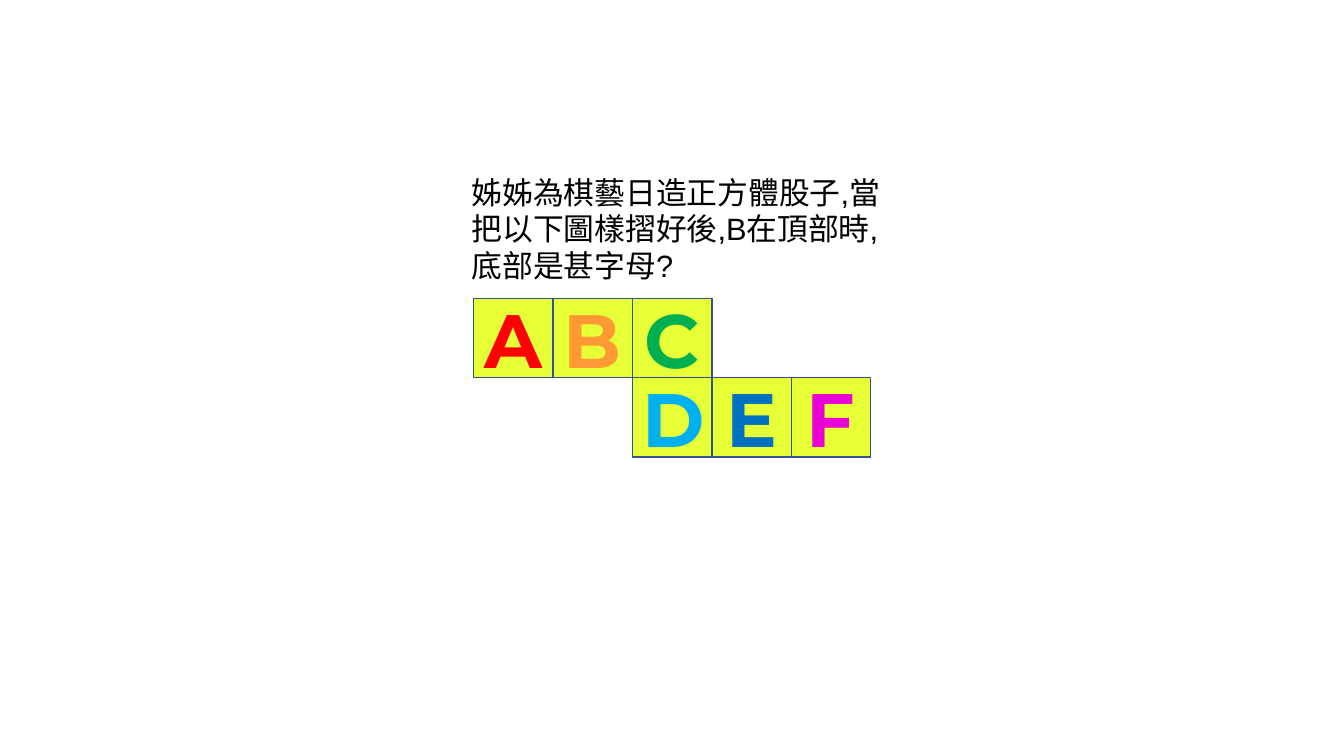
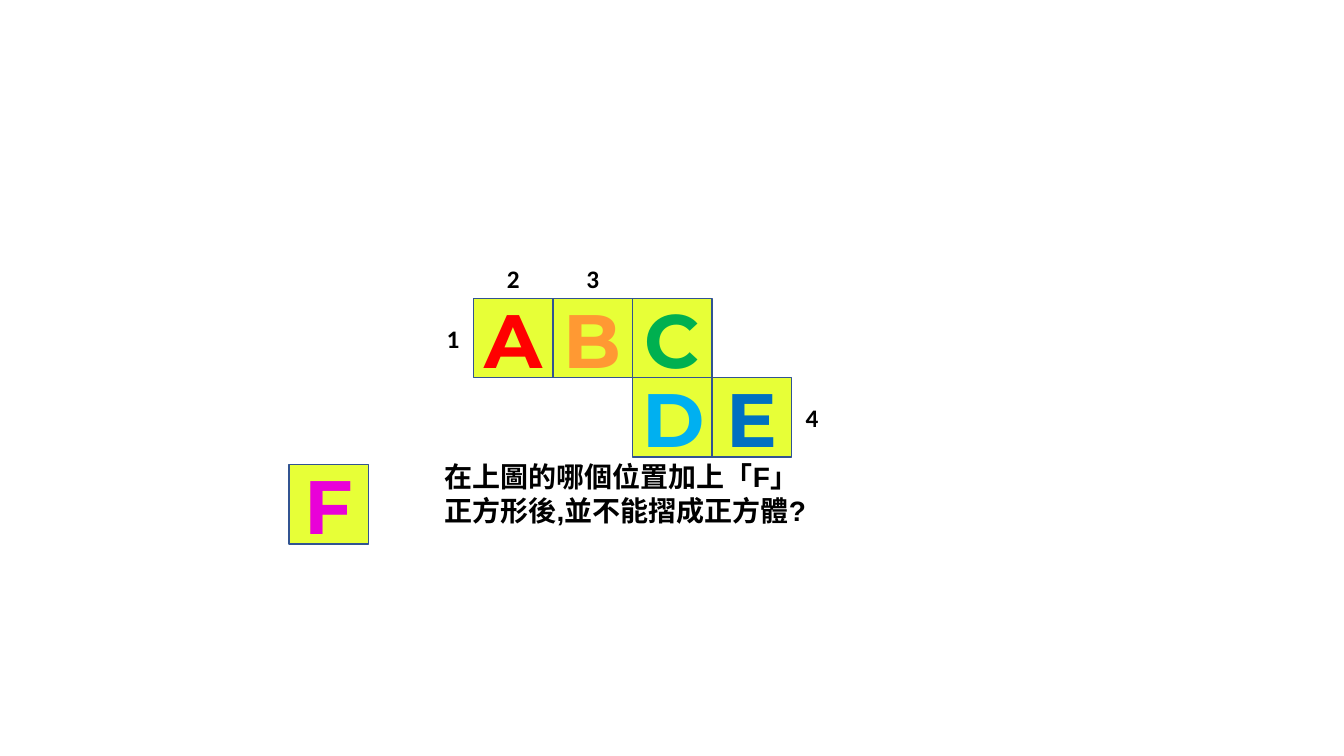
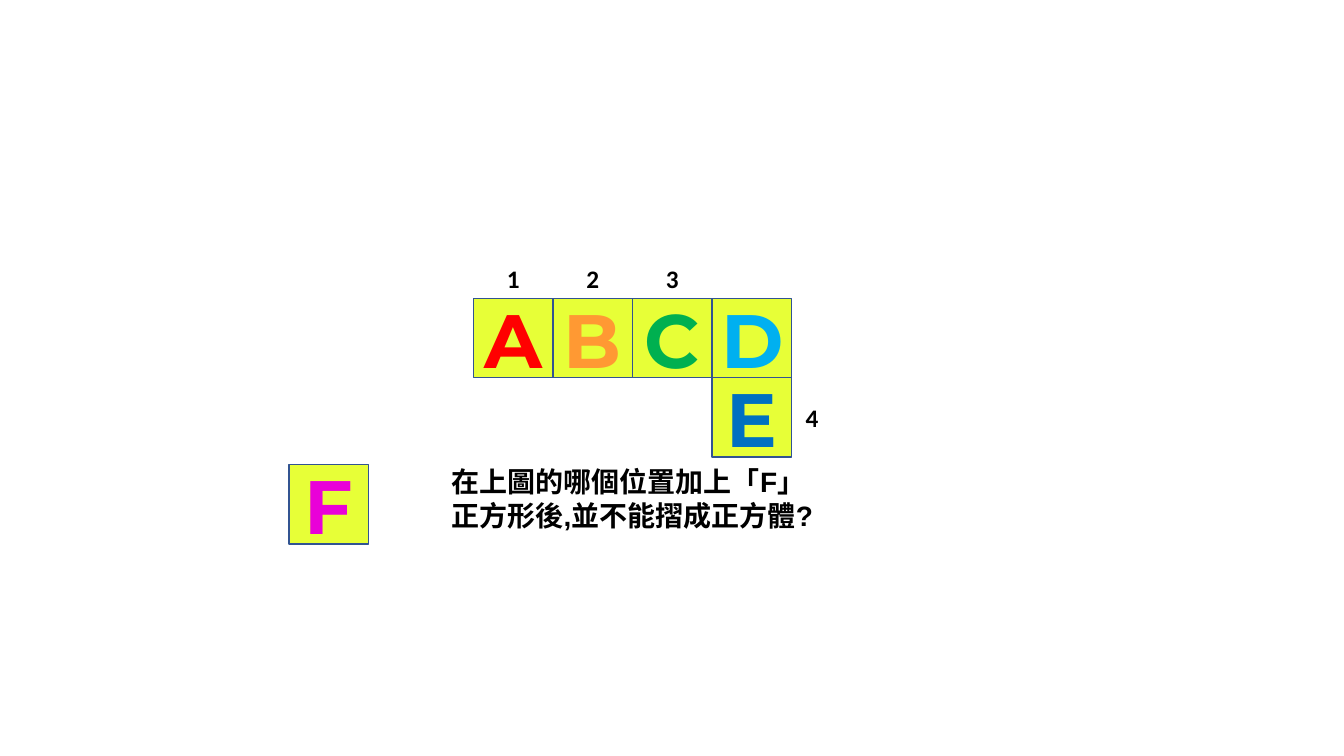
import pptx
import pptx.dml.color
import pptx.enum.shapes
import pptx.enum.text
import pptx.oxml.ns
import pptx.util
from dataclasses import dataclass, field
from lxml import etree

Pt = pptx.util.Pt
Align = pptx.enum.text.PP_ALIGN


# Colours, fonts and type sizes
@dataclass
class Theme:
    tile: str = "E7FF37"
    edge: str = "325491"
    ink: str = "000000"
    hues: dict = field(default_factory=lambda: {
        "A": "FF0000", "B": "FF9933", "C": "00B050",
        "D": "00B0F0", "E": "0070C0", "F": "E901D8"})
    face: str = "Montserrat"
    body: str = "Arial"
    digit: str = "Calibri"
    big: int = 54
    small: int = 18
    lead: int = 65


# Grid of the cube nets, in points
LEFT, TOP, SIDE = 338.3, 213.1, 56.75
MARK_W, MARK_H = 29.5, 28.8
LOOSE = (206.6, 331.9)


def rgb(code):
    return pptx.dml.color.RGBColor.from_string(code)


def cell(col, row):
    return LEFT + col * SIDE, TOP + row * SIDE


class Deck:
    def __init__(self, theme):
        self.theme = theme
        self.file = pptx.Presentation()
        self.file.slide_width = Pt(960)
        self.file.slide_height = Pt(540)
        self.slide = None

    def page(self):
        self.slide = self.file.slides.add_slide(self.file.slide_layouts[6])

    def style(self, para, size, face, hue, bold):
        for run in para.runs:
            run.font.size = Pt(size)
            run.font.name = face
            run.font.bold = bold
            run.font.color.rgb = rgb(hue)

    def tile(self, mark, x, y):
        look = self.theme
        hue = look.hues[mark]
        box = self.slide.shapes.add_shape(
            pptx.enum.shapes.MSO_SHAPE.RECTANGLE,
            Pt(x), Pt(y), Pt(SIDE), Pt(SIDE))
        box.shadow.inherit = False
        box.fill.solid()
        box.fill.fore_color.rgb = rgb(look.tile)
        box.line.color.rgb = rgb(look.edge)
        box.line.width = Pt(1)
        frame = box.text_frame
        frame.vertical_anchor = pptx.enum.text.MSO_ANCHOR.MIDDLE
        frame.text = mark
        para = frame.paragraphs[0]
        para.alignment = Align.CENTER
        para.line_spacing = Pt(look.lead)
        self.style(para, look.big, look.face, hue, True)
        self.outline(para.runs[0], hue)

    def outline(self, run, hue):
        name = pptx.oxml.ns.qn
        line = etree.Element(name("a:ln"), w=str(Pt(0.75)))
        fill = etree.SubElement(line, name("a:solidFill"))
        etree.SubElement(fill, name("a:srgbClr"), val=hue)
        run.font._element.insert(0, line)

    def net(self, *rows):
        """Each row is its first column and its letters."""
        for row, (start, marks) in enumerate(rows):
            for col, mark in enumerate(marks, start):
                self.tile(mark, *cell(col, row))

    def text(self, words, x, y, wide, high, size, face,
             bold=True, align=Align.LEFT):
        box = self.slide.shapes.add_textbox(Pt(x), Pt(y), Pt(wide), Pt(high))
        frame = box.text_frame
        frame.word_wrap = True
        frame.auto_size = pptx.enum.text.MSO_AUTO_SIZE.SHAPE_TO_FIT_TEXT
        frame.text = words
        para = frame.paragraphs[0]
        para.alignment = align
        self.style(para, size, face, self.theme.ink, bold)

    def digit(self, words, x, y):
        self.text(words, x, y, MARK_W, MARK_H, self.theme.small,
                  self.theme.digit, align=Align.CENTER)

    def above(self, words, col):
        x, y = cell(col, 0)
        self.digit(words, x + (SIDE - MARK_W) / 2, y - MARK_H)

    def beside(self, words, col, row, before=False):
        x, y = cell(col, row)
        x += -MARK_W if before else SIDE
        self.digit(words, x, y + (SIDE - MARK_H) / 2)

    def ask(self, x, y, wide):
        self.text("在上圖的哪個位置加上「F」正方形後,並不能摺成正方體?",
                  x, y, wide, 55.4, 20, self.theme.body)


def main():
    deck = Deck(Theme())

    # Which letter is at the bottom
    deck.page()
    deck.net((0, "ABC"), (2, "DEF"))
    deck.text("姊姊為棋藝日造正方體股子,當把以下圖樣摺好後,B在頂部時,底部是甚字母?",
              329.8, 120.2, 308.9, 87.1, 22, deck.theme.body, bold=False)

    # Where F fails, net with three on top
    deck.page()
    deck.net((0, "ABC"), (2, "DE"))
    deck.tile("F", *LOOSE)
    deck.beside("1", 0, 0, before=True)
    deck.above("2", 0)
    deck.above("3", 1)
    deck.beside("4", 3, 1)
    deck.ask(310.3, 324.7, 282.2)

    # Where F fails, net with four on top
    deck.page()
    deck.net((0, "ABCD"), (3, "E"))
    deck.tile("F", *LOOSE)
    for col, words in enumerate("123"):
        deck.above(words, col)
    deck.beside("4", 3, 1)
    deck.ask(315.4, 328.3, 279.4)

    deck.file.save("out.pptx")


if __name__ == "__main__":
    main()
